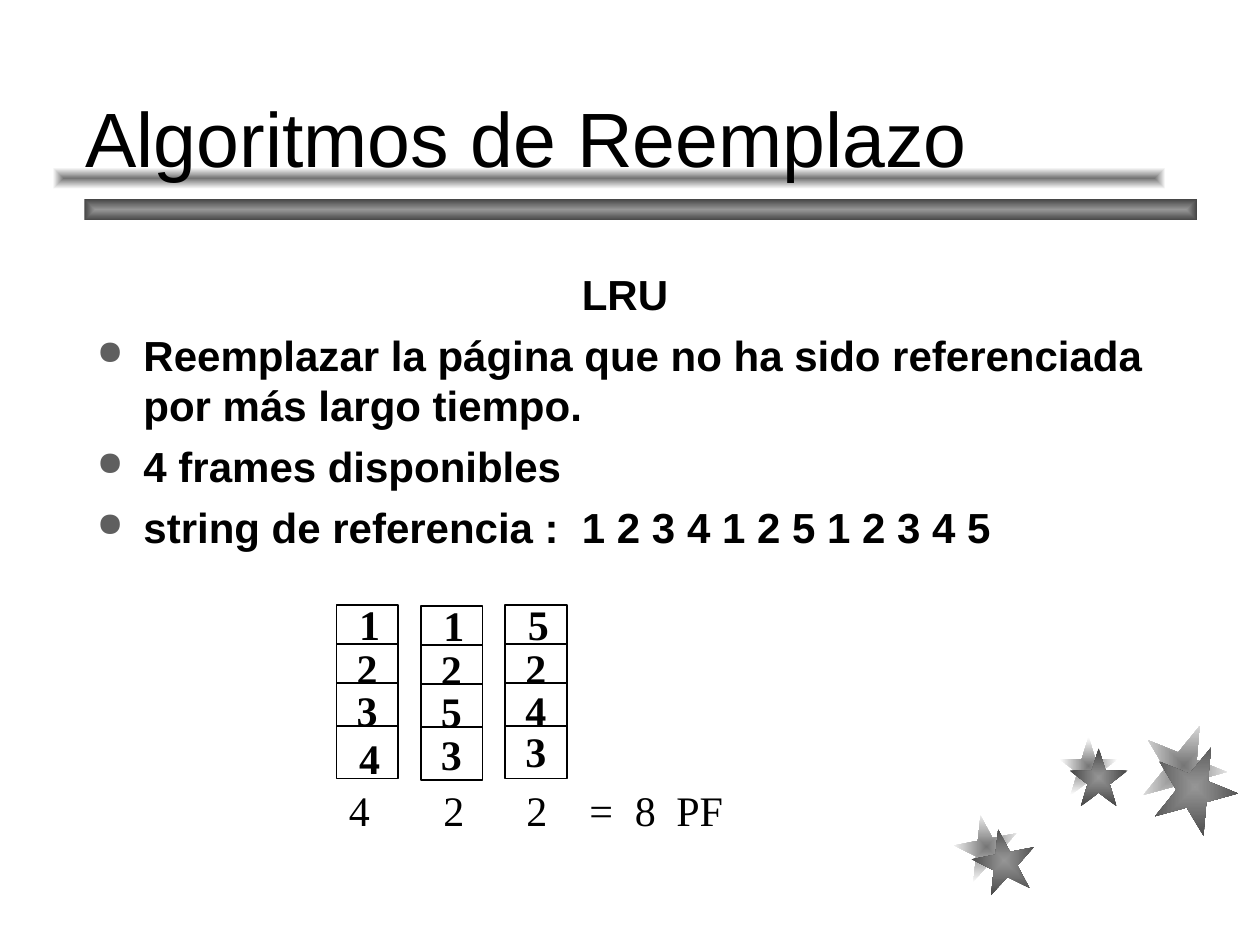
from dataclasses import dataclass
from lxml.etree import SubElement
from pptx import Presentation
from pptx.dml.color import RGBColor
from pptx.enum.shapes import MSO_CONNECTOR as CONNECTOR, MSO_SHAPE as SHAPE
from pptx.enum.text import MSO_ANCHOR as ANCHOR, PP_ALIGN as ALIGN
from pptx.oxml.ns import qn
from pptx.util import Inches, Pt


@dataclass(frozen=True)
class Theme:
    """Colours, fonts and sizes of the slide."""
    ink: str = "000000"
    bullet: str = "5F5F5F"
    solid: tuple = ("969696", "454545")
    faded: tuple = ("757575", "FFFFFF")
    sans: str = "Arial"
    serif: str = "Times New Roman"
    title: int = 44
    body: int = 24
    rule: float = 0.99


THEME = Theme()

TITLE = "Algoritmos de Reemplazo"
HEADING = "LRU"
POINTS = [
    "Reemplazar la página que no ha sido referenciada por más largo tiempo.",
    "4 frames disponibles",
    "string de referencia :  1 2 3 4 1 2 5 1 2 3 4 5",
]
# Pages held, left and top of the frame stack, nudge of the last digit
STACKS = [
    ("1234", 2.67, 4.80, (0.02, 0.05)),
    ("1253", 3.34, 4.81, (0, 0.01)),
    ("5243", 4.01, 4.80, (0, 0)),
]
# Page faults and the tab stop of each
FAULTS = [("4", 0.17), ("2", 0.92), ("2", 1.58), ("=", 2.08), ("8", 2.44), ("PF", 2.77)]

STACK_W, STACK_H = 0.49, 1.38
DIVIDERS = (0.31, 0.62, 0.96)
DIGITS = ((0.18, -0.05), (0.16, 0.30), (0.16, 0.63), (0.16, 0.96))

# Left, top, size, rotation
STARS = [
    (THEME.faded, [(7.58, 6.47, 0.5, 349), (8.41, 5.85, 0.46, 0), (9.06, 5.74, 0.67, 22)]),
    (THEME.solid, [(7.72, 6.58, 0.5, 349), (8.49, 5.94, 0.46, 0), (9.15, 5.91, 0.67, 22)]),
]
BARS = [(THEME.solid, 0.67, 1.58), (THEME.faded, 0.42, 1.33)]


def add_plain(kind, *box):
    """Add a preset shape without shadow, fill or line."""
    shape = slide.shapes.add_shape(kind, *map(Inches, box))
    shape.shadow.inherit = False
    shape.fill.background()
    shape.line.fill.background()
    return shape


def add_glow(kind, colours, *box, turn=0):
    """Add a shape shaded from its centre to its edges."""
    shape = add_plain(kind, *box)
    shape.rotation = turn
    shape.fill.gradient()
    for stop, colour in zip(shape.fill.gradient_stops, colours):
        stop.color.rgb = RGBColor.from_string(colour)
    gradient = shape.fill.gradient_stops[0].color and shape._element.spPr.find(qn("a:gradFill"))
    gradient.remove(gradient.find(qn("a:lin")))
    shade = SubElement(gradient, qn("a:path"), {"path": "rect"})
    SubElement(shade, qn("a:fillToRect"), dict.fromkeys("ltrb", "50000"))


def add_text(text, *box, inset=(0.1, 0.05), anchor=ANCHOR.TOP, **style):
    """Add a text box with one paragraph and return its frame."""
    frame = slide.shapes.add_textbox(*map(Inches, box)).text_frame
    across, down = map(Inches, inset)
    layout = {"word_wrap": True, "vertical_anchor": anchor, "margin_left": across,
              "margin_right": across, "margin_top": down, "margin_bottom": down}
    for name, value in layout.items():
        setattr(frame, name, value)
    write(frame.paragraphs[0], text, **style)
    return frame


def write(paragraph, text, face=THEME.serif, size=THEME.body, bold=False):
    """Fill a paragraph with one styled run."""
    run = paragraph.add_run()
    run.text = text
    for name, value in {"name": face, "size": Pt(size), "bold": bold}.items():
        setattr(run.font, name, value)
    run.font.color.rgb = RGBColor.from_string(THEME.ink)


def hang(paragraph, bullet):
    """Give a paragraph a hanging indent and, if asked, a bullet."""
    paragraph.space_before = Pt(6)
    props = paragraph._p.get_or_add_pPr()
    props.set("marL", str(Inches(0.37)))
    props.set("indent", str(-Inches(0.37)))
    if bullet:
        colour = SubElement(props, qn("a:buClr"))
        SubElement(colour, qn("a:srgbClr"), val=THEME.bullet)
        SubElement(props, qn("a:buSzPct"), val="80000")
        SubElement(props, qn("a:buChar"), char="●")


def set_ink(line):
    """Style a thin black line."""
    line.color.rgb = RGBColor.from_string(THEME.ink)
    line.width = Pt(THEME.rule)


def add_stack(pages, left, top, nudge):
    """Draw a stack of four frames with the pages they hold."""
    set_ink(add_plain(SHAPE.RECTANGLE, left, top, STACK_W, STACK_H).line)
    for drop in DIVIDERS:
        ends = (left, top + drop, left + STACK_W, top + drop)
        divider = slide.shapes.add_connector(CONNECTOR.STRAIGHT, *map(Inches, ends))
        set_ink(divider.line)
        SubElement(divider._element.spPr, qn("a:effectLst"))
    nudges = [(0, 0)] * 3 + [nudge]
    for page, (dx, dy), (nx, ny) in zip(pages, DIGITS, nudges):
        add_text(page, left + dx + nx, top + dy + ny, 0.17, 0.4, inset=(0, 0), bold=True)


deck = Presentation()
deck.slide_width, deck.slide_height = Inches(10), Inches(7.5)
slide = deck.slides.add_slide(deck.slide_layouts[6])

for colours, stars in STARS:
    for left, top, size, turn in stars:
        add_glow(SHAPE.STAR_5_POINT, colours, left, top, size, size, turn=turn)
for colours, left, top in BARS:
    add_glow(SHAPE.RECTANGLE, colours, left, top, 8.83, 0.17)

body = add_text(HEADING, 0.67, 2.08, 8.58, 4.67, face=THEME.sans, bold=True)
body.paragraphs[0].alignment = ALIGN.CENTER
hang(body.paragraphs[0], bullet=False)
for point in POINTS:
    item = body.add_paragraph()
    write(item, point, face=THEME.sans, bold=True)
    hang(item, bullet=True)

add_text(TITLE, 0.58, 0.25, 8.5, 1.25, anchor=ANCHOR.BOTTOM, face=THEME.sans, size=THEME.title)

for stack in STACKS:
    add_stack(*stack)

faults = add_text("".join("\t" + label for label, _ in FAULTS), 2.5, 6.18, 3.34, 0.5)
stops = SubElement(faults.paragraphs[0]._p.get_or_add_pPr(), qn("a:tabLst"))
for _, stop in FAULTS:
    SubElement(stops, qn("a:tab"), pos=str(Inches(stop)), algn="l")

deck.save("out.pptx")
